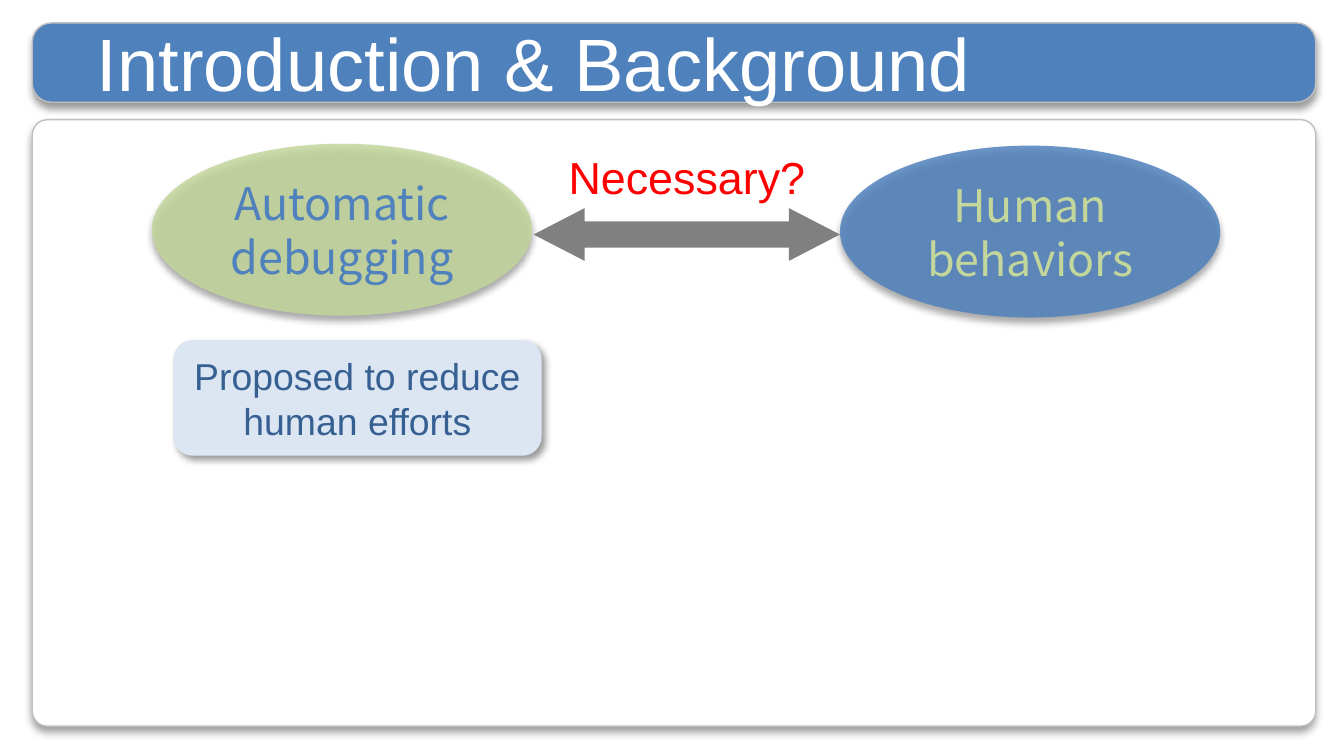
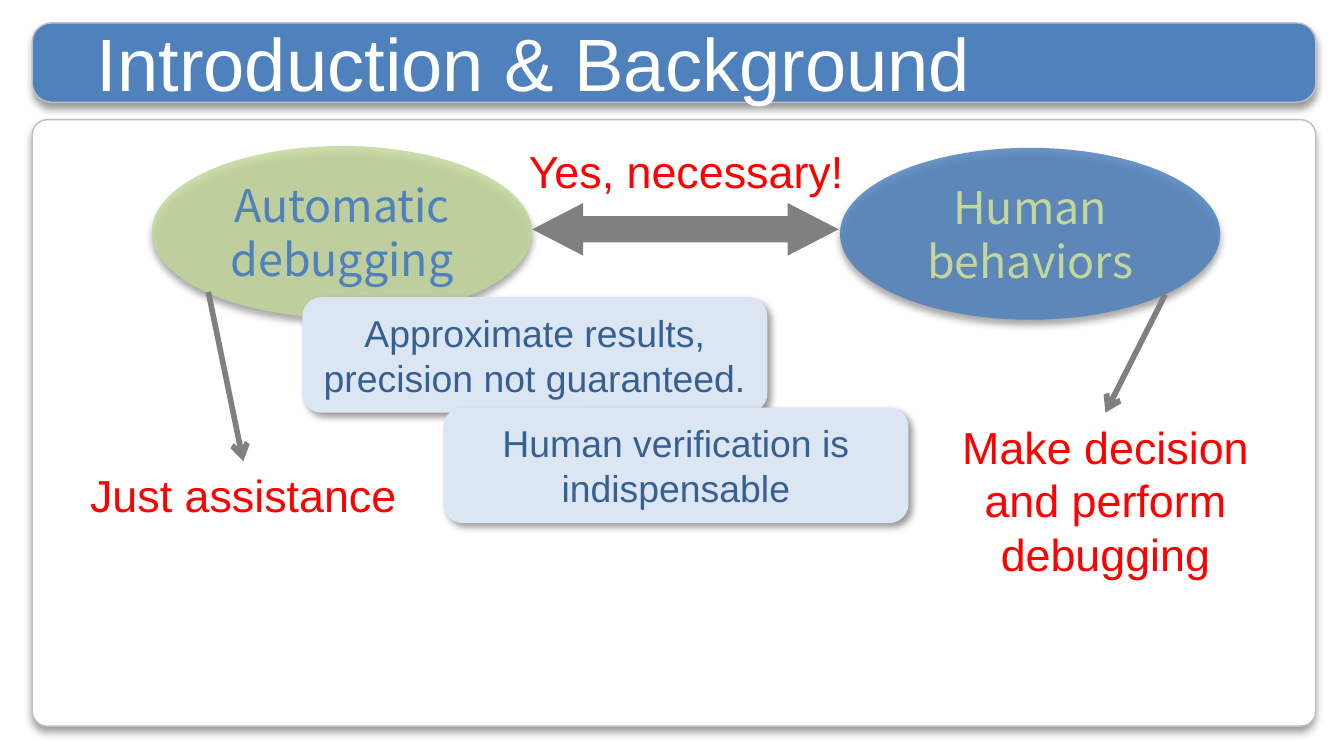
import dataclasses
import typing

import lxml.etree
import pptx
import pptx.dml.color
import pptx.enum.shapes
import pptx.enum.text
import pptx.oxml
import pptx.oxml.ns
import pptx.util

Kind = pptx.enum.shapes.MSO_SHAPE
Align = pptx.enum.text.PP_ALIGN
Anchor = pptx.enum.text.MSO_ANCHOR
Pt = pptx.util.Pt
qn = pptx.oxml.ns.qn

WIDE, HIGH = pptx.util.Inches(10), pptx.util.Inches(5.51)
WHITE, BLUE, GREEN, RED = "FFFFFF", "4F81BD", "C3D69B", "FF0000"
PALE, NAVY, GRAY, EDGE = "DCE6F2", "376092", "808080", "BFBFBF"
SANS, ROUND = "Arial", "Noto Sans CJK SC"


@dataclasses.dataclass(frozen=True)
class Box:
    """A frame in percent of the slide's width and height."""
    left: float
    top: float
    width: float
    height: float

    def place(self) -> tuple[int, int, int, int]:
        return across(self.left), down(self.top), across(self.width), down(self.height)


@dataclasses.dataclass(frozen=True)
class Oval:
    text: str
    left: float
    fill: str
    ink: str
    drop: float  # extra distance below the row's top


@dataclasses.dataclass(frozen=True)
class Note:
    text: str
    box: Box


OVALS = (
    Oval("Automatic\ndebugging", 11.3, GREEN, BLUE, 0),
    Oval("Human behaviors", 62.5, BLUE, GREEN, 0.25),
)


def across(share: float) -> int:
    return round(WIDE * share / 100)


def down(share: float) -> int:
    return round(HIGH * share / 100)


def paint(target: typing.Any, color: str) -> None:
    """Set a font's, fill's or line's colour from a hex string."""
    if hasattr(target, "solid"):
        target.solid()
        target = target.fore_color
    else:
        target = target.color
    target.rgb = pptx.dml.color.RGBColor.from_string(color)


def write(frame: typing.Any, text: str, *, size: float, color: str, font: str = SANS,
          align: Align = Align.CENTER, anchor: Anchor = Anchor.TOP,
          wrap: bool = True) -> None:
    frame.word_wrap = wrap
    frame.vertical_anchor = anchor
    for index, line in enumerate(text.split("\n")):
        par = frame.paragraphs[0] if index == 0 else frame.add_paragraph()
        par.alignment = align
        run = par.add_run()
        run.text = line
        run.font.size, run.font.name = Pt(size), font
        paint(run.font, color)
        for tag in ("a:ea", "a:cs"):
            lxml.etree.SubElement(run.font._element, qn(tag)).set("typeface", font)


def shade(shape: typing.Any, angle: int) -> None:
    """Cast a soft black shadow toward the angle in degrees."""
    cast = lxml.etree.SubElement(shape._element.spPr.find(qn("a:effectLst")),
                                 qn("a:outerShdw"), blurRad=str(Pt(4)), dist=str(Pt(3)),
                                 dir=str(angle * 60000), algn="ctr", rotWithShape="0")
    tint = lxml.etree.SubElement(cast, qn("a:srgbClr"), val="000000")
    lxml.etree.SubElement(tint, qn("a:alpha"), val="40000")


def form(slide: typing.Any, kind: Kind, box: Box, fill: str, *, edge: str | None = None,
         adjust: tuple[float, ...] = (), angle: int | None = None,
         alpha: int = 100) -> typing.Any:
    shape = slide.shapes.add_shape(kind, *box.place())
    shape.shadow.inherit = False
    paint(shape.fill, fill)
    if alpha < 100:
        tint = shape._element.spPr.find(qn("a:solidFill"))[0]
        lxml.etree.SubElement(tint, qn("a:alpha"), val=str(alpha * 1000))
    if edge:
        paint(shape.line, edge)
        shape.line.width = Pt(0.75)
    else:
        shape.line.fill.background()
    for index, value in enumerate(adjust):
        shape.adjustments[index] = value
    if angle is not None:
        shade(shape, angle)
    return shape


def label(slide: typing.Any, note: Note, wrap: bool = False) -> typing.Any:
    area = slide.shapes.add_textbox(*note.box.place())
    write(area.text_frame, note.text, size=24, color=RED, wrap=wrap)
    return area


def card(slide: typing.Any, note: Note) -> None:
    shape = form(slide, Kind.ROUNDED_RECTANGLE, note.box, PALE, angle=45)
    write(shape.text_frame, note.text, size=20, color=NAVY, anchor=Anchor.MIDDLE)


def pointer(slide: typing.Any, x: float, y: float, goal: typing.Any) -> None:
    """Draw an arrow from a point to the top of a text box."""
    link = slide.shapes.add_connector(pptx.enum.shapes.MSO_CONNECTOR.STRAIGHT,
                                      across(x), down(y), goal.left, goal.top)
    link.end_connect(goal, 0)
    paint(link.line, GRAY)
    link.line.width = Pt(3)
    props = link._element.spPr
    lxml.etree.SubElement(props.find(qn("a:ln")), qn("a:tailEnd"), type="arrow")
    lxml.etree.SubElement(props, qn("a:effectLst"))


def start(deck: typing.Any, title: str) -> typing.Any:
    """Add a slide with its panel, band and title."""
    slide = deck.slides.add_slide(deck.slide_layouts[6])
    for box, fill, bend in ((Box(2.4, 16.15, 95.5, 81.85), WHITE, 0.025),
                            (Box(2.4, 3.1, 95.5, 10.7), BLUE, 0.241)):
        form(slide, Kind.ROUNDED_RECTANGLE, box, fill, edge=EDGE, adjust=(bend,), angle=90)
    area = slide.shapes.add_textbox(*Box(6.4, 0.36, 84.5, 19.4).place())
    frame = area.text_frame
    frame.margin_left, frame.margin_top = across(0.8), down(2)
    write(frame, title, size=39.7, color=WHITE, align=Align.LEFT)
    return slide


def pair(slide: typing.Any, top: float) -> None:
    """Draw the two ovals side by side."""
    for oval in OVALS:
        shape = form(slide, Kind.OVAL, Box(oval.left, top + oval.drop, 28.3, 23.2),
                     oval.fill, angle=90, alpha=84)
        write(shape.text_frame, oval.text, size=24, color=oval.ink, font=ROUND,
              anchor=Anchor.MIDDLE)


def bridge(slide: typing.Any, left: float, top: float, note: Note) -> None:
    """Draw the two-way arrow between the ovals and the words above it."""
    form(slide, Kind.LEFT_RIGHT_ARROW, Box(left, top, 22.8, 7.1), GRAY,
         adjust=(0.5, 0.969))
    label(slide, note)


def main() -> None:
    deck = pptx.Presentation()
    deck.slide_width, deck.slide_height = WIDE, HIGH
    title = "Introduction & Background"

    ask = start(deck, title)
    pair(ask, 19.4)
    card(ask, Note("Proposed to reduce human efforts", Box(12.9, 45.9, 27.4, 15.6)))
    bridge(ask, 39.7, 28.1, Note("Necessary?", Box(41.2, 19.25, 19.8, 9.1)))

    reply = start(deck, title)
    pair(reply, 19.7)
    card(reply, Note("Approximate results, precision not guaranteed.",
                     Box(22.5, 40.1, 34.6, 15.6)))
    bridge(reply, 39.6, 27.4, Note("Yes, necessary!", Box(38.2, 18.5, 25.7, 9.1)))
    card(reply, Note("Human verification is indispensable", Box(33, 55, 34.6, 15.6)))
    aid = label(reply, Note("Just assistance", Box(5.6, 62.25, 25, 9.1)))
    pointer(reply, 15.5, 39.4, aid)
    duty = label(reply, Note("Make decision and perform debugging",
                             Box(68.1, 55.7, 28.3, 23.8)), wrap=True)
    pointer(reply, 86.7, 39.75, duty)

    deck.save("out.pptx")


if __name__ == "__main__":
    main()
